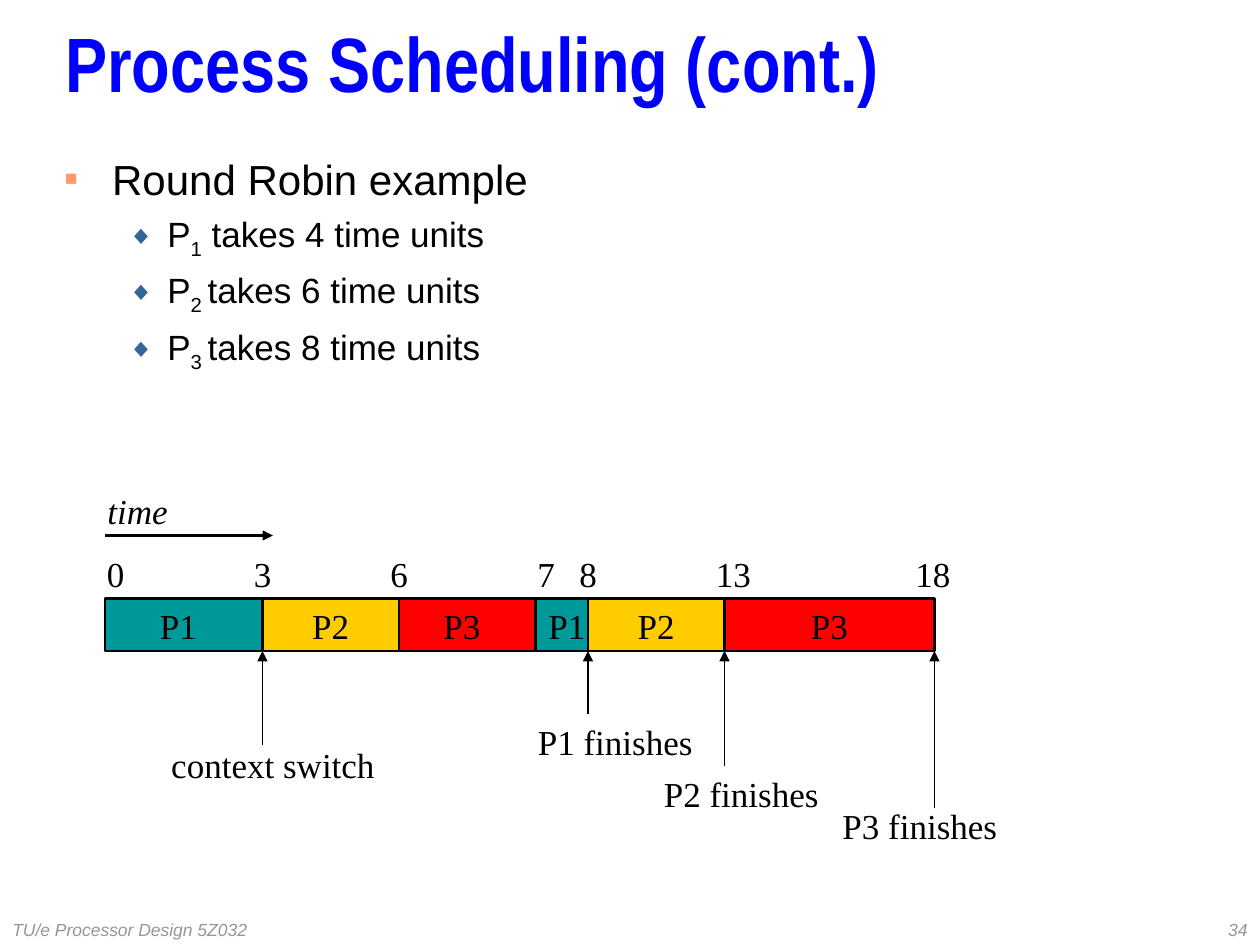
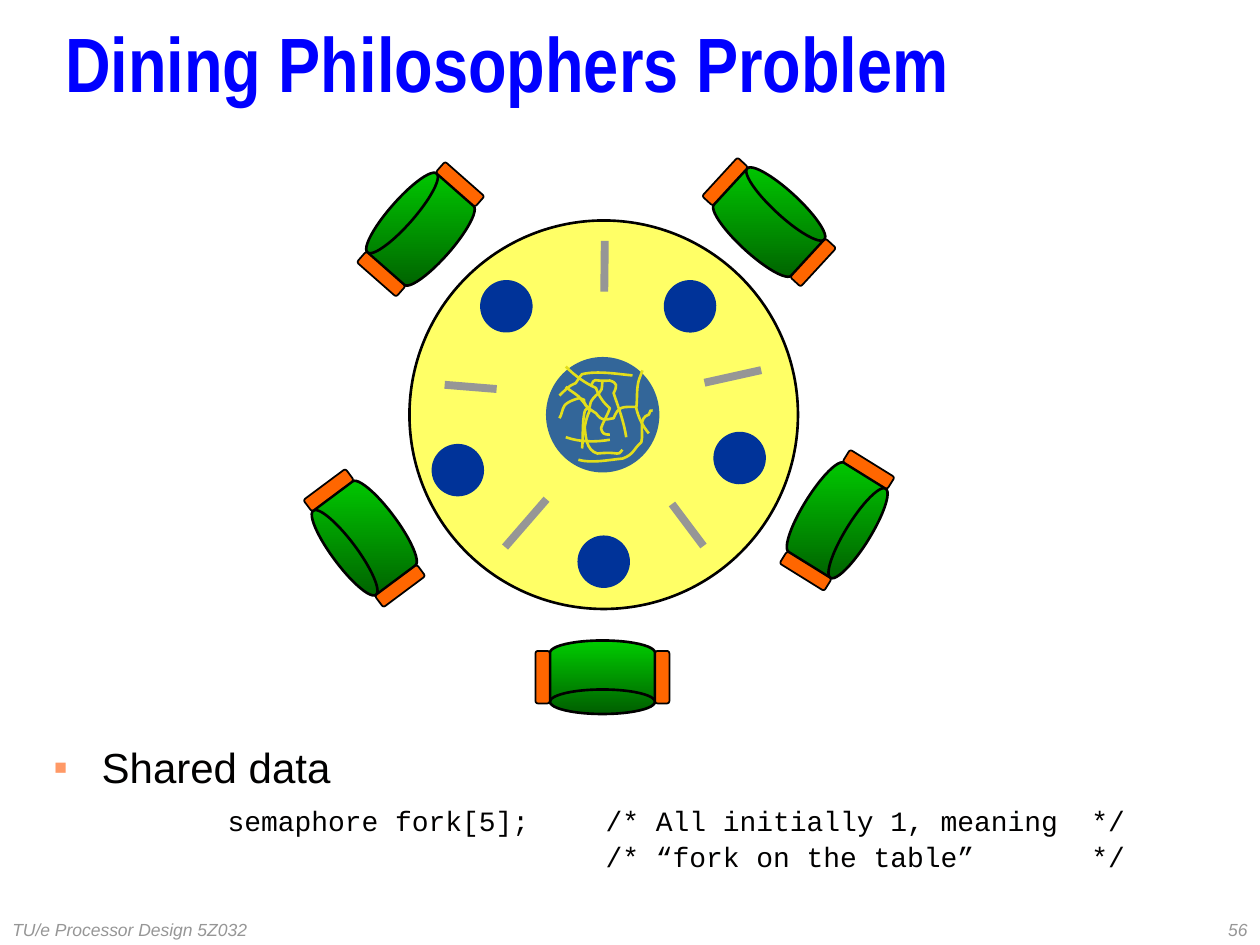
import math
from dataclasses import dataclass
from typing import NamedTuple

from lxml import etree
from pptx import Presentation, util as u
from pptx.dml.color import RGBColor
from pptx.enum import shapes as kinds, text
from pptx.oxml.ns import qn

CELLS_PER_INCH = 12
COLUMNS, ROWS = 120, 90


@dataclass(frozen=True)
class Theme:
    ink: str = "010000"
    title: str = "0000FF"
    footer: str = "969696"
    square_bullet: str = "FF9966"
    diamond_bullet: str = "336699"
    teal: str = "009999"
    amber: str = "FFCC00"
    red: str = "FF0000"
    table: str = "FFFF66"
    plate: str = "003399"
    fork: str = "969696"
    bowl: str = "336699"
    spaghetti: str = "E3DE1B"
    seat_top: str = "00CC00"
    seat_bottom: str = "005E00"
    arm: str = "FF6600"
    heading_font: str = "Arial Narrow"
    body_font: str = "Arial"
    code_font: str = "Courier New"
    diagram_font: str = "Times New Roman"
    title_size: float = 44
    body_size: float = 24
    sub_size: float = 20
    code_size: float = 16
    footer_size: float = 10
    thin: float = 1
    medium: float = 1.5
    thick: float = 4.5


THEME = Theme()


class Box(NamedTuple):
    left: float
    top: float
    width: float
    height: float


class Segment(NamedTuple):
    name: str
    start: float
    width: float
    color: str
    label_shift: float = 0


class Label(NamedTuple):
    words: str
    left: float
    top: float
    width: float


class Seat(NamedTuple):
    """Chair centre, turn in degrees, plate centre and the ends of one fork."""
    chair: tuple
    turn: float
    plate: tuple
    fork: tuple


SEGMENTS = [
    Segment("P1", 10, 15, THEME.teal, -0.5),
    Segment("P2", 25, 13, THEME.amber),
    Segment("P3", 38, 13, THEME.red, -0.5),
    Segment("P1", 51, 5, THEME.teal, 0.5),
    Segment("P2", 56, 13, THEME.amber),
    Segment("P3", 69, 20, THEME.red),
]
BAR_TOP, BAR_HEIGHT = 57, 5
LABEL_HEIGHT = 5.3
TICKS = {"0": 9, "3": 23, "6": 36, "7": 50, "8": 54, "13": 67, "18": 86}
EVENTS = [  # label, column and lower end of its arrow
    (Label("context switch", 15, 70.2, 22), 25, 71),
    (Label("P1 finishes", 50, 68, 17.2), 56, 68),
    (Label("P2 finishes", 62, 73, 17.2), 69, 73),
    (Label("P3 finishes", 79, 76, 17.2), 89, 77),
]

SEATS = [
    Seat((57.38, 64.5), 0, (57.5, 53.5), ((64, 48), (67, 52))),
    Seat((79.73, 49.55), 301.8, (70.45, 43.62), ((67.1, 36.45), (72.5, 35.25))),
    Seat((34.7, 51.25), 53.3, (43.6, 44.78), ((52.05, 47.55), (48.1, 52.1))),
    Seat((40.05, 21.83), 131.3, (48.22, 29.17), ((47.3, 37.05), (42.35, 36.65))),
    Seat((73.25, 21.15), 222.6, (65.72, 29.17), ((57.55, 27.78), (57.6, 22.95))),
]
ARM_DISTANCE = 5.7

# Bézier chains, in thousandths of the slide's width
STRANDS = [
    [(444, 332), (446, 329), (446, 325), (448, 322), (451, 318), (460, 316), (460, 316),
     (467, 319), (461, 315), (465, 322), (468, 325), (470, 326), (473, 328),
     (478, 335), (480, 333), (487, 332), (491, 322), (494, 323), (505, 323)],
    [(462, 356), (463, 346), (462, 336), (464, 327), (464, 325), (467, 324), (468, 323),
     (469, 322), (468, 320), (469, 319), (475, 309), (478, 315), (478, 303)],
    [(497, 347), (495, 334), (491, 324), (487, 312), (490, 306), (490, 304), (484, 302),
     (469, 303), (473, 299), (469, 306)],
    [(449, 307), (453, 311), (459, 313), (462, 318), (464, 320), (468, 326), (468, 326),
     (466, 330), (465, 334), (464, 339), (465, 347), (465, 357), (474, 360),
     (494, 358), (489, 363), (494, 357)],
    [(484, 349), (473, 351), (460, 351), (449, 347)],
    [(515, 344), (510, 338), (507, 332), (505, 324), (506, 317), (505, 309), (507, 302),
     (508, 299), (510, 294), (510, 294)],
    [(449, 291), (456, 298), (464, 304), (473, 308), (475, 314), (479, 320), (484, 324),
     (482, 330), (479, 334), (477, 340), (478, 344), (479, 345), (484, 345)],
    [(459, 365), (470, 368), (483, 365), (494, 364), (503, 361), (503, 356), (509, 351),
     (511, 342), (506, 332), (515, 329), (517, 325), (515, 326), (518, 326)],
    [(502, 298), (491, 297), (474, 294), (462, 297), (461, 298), (460, 299), (459, 301),
     (458, 302), (458, 303), (457, 304), (456, 305), (454, 305), (453, 306),
     (450, 308), (447, 311), (444, 314)],
]


def cells(count: float) -> int:
    return u.Inches(count / CELLS_PER_INCH)


def place(box: Box) -> list:
    return [cells(length) for length in box]


def centered(center: tuple, width: float, height: float) -> Box:
    return Box(center[0] - width / 2, center[1] - height / 2, width, height)


def rgb(color: str) -> RGBColor:
    return RGBColor.from_string(color)


def write(paragraph, words: str, *, size: float, font: str = THEME.body_font,
          color: str = THEME.ink, bold: bool = False, italic: bool = False,
          baseline: int = 0) -> None:
    run = paragraph.add_run()
    run.text = words
    run.font.size, run.font.name = u.Pt(size), font
    run.font.bold, run.font.italic = bold, italic
    run.font.color.rgb = rgb(color)
    if baseline:
        run.font._element.set("baseline", str(baseline * 1000))


def text_frame(slide, box: Box, wrap: bool = True, anchor=text.MSO_ANCHOR.TOP):
    frame = slide.shapes.add_textbox(*place(box)).text_frame
    frame.word_wrap = wrap
    frame.vertical_anchor = anchor
    frame.auto_size = text.MSO_AUTO_SIZE.NONE if wrap else text.MSO_AUTO_SIZE.SHAPE_TO_FIT_TEXT
    return frame


def add_line_of_text(slide, box: Box, words: str, align=text.PP_ALIGN.LEFT,
                     wrap: bool = True, anchor=text.MSO_ANCHOR.TOP, **style):
    paragraph = text_frame(slide, box, wrap, anchor).paragraphs[0]
    paragraph.alignment = align
    write(paragraph, words, **style)
    return paragraph


def add_bullet(paragraph, symbol: str, color: str, percent: int,
               margin: float, hanging: float) -> None:
    properties = paragraph._p.get_or_add_pPr()
    properties.set("marL", str(cells(margin)))
    properties.set("indent", str(-cells(hanging)))
    bullet_color = etree.SubElement(properties, qn("a:buClr"))
    etree.SubElement(bullet_color, qn("a:srgbClr"), val=color)
    etree.SubElement(properties, qn("a:buSzPct"), val=str(percent * 1000))
    etree.SubElement(properties, qn("a:buFont"), typeface=THEME.body_font)
    etree.SubElement(properties, qn("a:buChar"), char=symbol)


def add_topic(paragraph, words: str) -> None:
    add_bullet(paragraph, "■", THEME.square_bullet, 50, 4.5, 4.5)
    write(paragraph, words, size=THEME.body_size)


def add_tab_stops(paragraph, *columns: float) -> None:
    tab_list = etree.SubElement(paragraph._p.get_or_add_pPr(), qn("a:tabLst"))
    for column in columns:
        etree.SubElement(tab_list, qn("a:tab"), pos=str(cells(column)), algn="l")


def add_figure(shapes, kind, box: Box, fill: str, line: float = 0, turn: float = 0):
    shape = shapes.add_shape(kind, *place(box))
    shape.shadow.inherit = False
    shape.rotation = turn % 360
    shape.fill.solid()
    shape.fill.fore_color.rgb = rgb(fill)
    if line:
        shape.line.color.rgb, shape.line.width = rgb(THEME.ink), u.Pt(line)
    else:
        shape.line.fill.background()
    return shape


def add_line(slide, start: tuple, end: tuple, width: float,
             color: str = THEME.ink, arrow: bool = False) -> None:
    line = slide.shapes.add_connector(
        kinds.MSO_CONNECTOR.STRAIGHT, *[cells(value) for value in (*start, *end)])
    line.line.color.rgb, line.line.width = rgb(color), u.Pt(width)
    if arrow:
        etree.SubElement(line.line._get_or_add_ln(), qn("a:tailEnd"), type="triangle")
    etree.SubElement(line._element.spPr, qn("a:effectLst"))


def start_slide(presentation, title: str, number: int):
    slide = presentation.slides.add_slide(presentation.slide_layouts[6])
    middle = text.MSO_ANCHOR.MIDDLE
    heading = add_line_of_text(slide, Box(5.03, 2, 110, 10), title, anchor=middle,
                               size=THEME.title_size, font=THEME.heading_font,
                               color=THEME.title, bold=True)
    heading.line_spacing = 0.7
    width, height = 25, 3
    for words, left, align in (
            ("TU/e Processor Design 5Z032", 0, text.PP_ALIGN.LEFT),
            (str(number), COLUMNS - width, text.PP_ALIGN.RIGHT)):
        add_line_of_text(slide, Box(left, ROWS - height, width, height), words, align,
                         anchor=middle, size=THEME.footer_size, color=THEME.footer, italic=True)
    return slide


def add_label(slide, label: Label, align=text.PP_ALIGN.LEFT, italic: bool = False) -> None:
    box = Box(label.left, label.top, label.width, LABEL_HEIGHT)
    add_line_of_text(slide, box, label.words, align, wrap=False, size=THEME.sub_size,
                     font=THEME.diagram_font, italic=italic)


def build_scheduling(presentation) -> None:
    slide = start_slide(presentation, "Process Scheduling (cont.)", 34)
    frame = text_frame(slide, Box(5, 14, 110, 22))
    add_topic(frame.paragraphs[0], "Round Robin example")
    for index, rest in (("1", " takes 4 time units"), ("2 ", "takes 6 time units"),
                        ("3 ", "takes 8 time units")):
        paragraph = frame.add_paragraph()
        paragraph.level = 1
        add_bullet(paragraph, "◆", THEME.diamond_bullet, 75, 9.75, 3.75)
        paragraph.space_before = u.Pt(5)
        write(paragraph, "P", size=THEME.sub_size)
        write(paragraph, index, size=THEME.sub_size, baseline=-25)
        write(paragraph, rest, size=THEME.sub_size)

    center = text.PP_ALIGN.CENTER
    for segment in SEGMENTS:
        add_figure(slide.shapes, kinds.MSO_SHAPE.RECTANGLE,
                   Box(segment.start, BAR_TOP, segment.width, BAR_HEIGHT),
                   segment.color, THEME.medium)
    for segment in SEGMENTS:
        width = 5.9
        left = segment.start + (segment.width - width) / 2 + segment.label_shift
        add_label(slide, Label(segment.name, left, BAR_TOP, width), center)
    add_label(slide, Label("time", 9, 46, 8.2), center, italic=True)
    add_line(slide, (10, 51), (26, 51), THEME.medium, arrow=True)
    for moment, left in TICKS.items():
        add_label(slide, Label(moment, left, 52, 2.4 + 1.7 * len(moment)))
    for label, column, foot in EVENTS:
        add_label(slide, label, center)
        add_line(slide, (column, foot), (column, BAR_TOP + BAR_HEIGHT), THEME.thin, arrow=True)


def add_chair(slide, center: tuple, turn: float) -> None:
    group = slide.shapes.add_group_shape()
    seat = add_figure(group.shapes, kinds.MSO_SHAPE.FLOWCHART_MAGNETIC_DISK,
                      centered(center, 10, 7), THEME.seat_top, THEME.medium, turn + 180)
    seat.fill.gradient()
    seat.fill.gradient_angle = 270
    for stop, color, position in zip(seat.fill.gradient_stops,
                                     (THEME.seat_top, THEME.seat_bottom), (0, 1)):
        stop.color.rgb, stop.position = rgb(color), position
    seat._element.spPr.find(qn("a:gradFill")).set("rotWithShape", "0")
    angle = math.radians(turn)
    for side in (-ARM_DISTANCE, ARM_DISTANCE):
        middle = (center[0] + side * math.cos(angle), center[1] + side * math.sin(angle))
        add_figure(group.shapes, kinds.MSO_SHAPE.FLOWCHART_ALTERNATE_PROCESS,
                   centered(middle, 1.35, 5), THEME.arm, THEME.thin, turn)


def add_curve(shapes, chain: list, scale: float):
    """Draw a chain of cubic Bézier curves that share their end points."""
    builder = shapes.build_freeform(*chain[0], scale=scale)
    builder.add_line_segments(chain[1:], close=False)
    curve = builder.convert_to_shape()
    segments = list(curve._element.iter(qn("a:lnTo")))
    for first in range(0, len(segments), 3):
        trio = segments[first:first + 3]
        bend = etree.SubElement(trio[0].getparent(), qn("a:cubicBezTo"))
        for segment in trio:
            bend.append(segment[0])
            segment.getparent().remove(segment)
    return curve


def add_bowl(slide, thousandth: float) -> None:
    group = slide.shapes.add_group_shape()
    add_figure(group.shapes, kinds.MSO_SHAPE.OVAL, Box(52, 34, 10.8, 11), THEME.bowl)
    for chain in STRANDS:
        strand = add_curve(group.shapes, chain, thousandth)
        strand.shadow.inherit = False
        strand.fill.background()
        strand.line.color.rgb, strand.line.width = rgb(THEME.spaghetti), u.Pt(THEME.medium)


def build_philosophers(presentation) -> None:
    slide = start_slide(presentation, "Dining Philosophers Problem", 56)
    frame = text_frame(slide, Box(4, 71, 110, 13))
    add_topic(frame.paragraphs[0], "Shared data")
    frame.paragraphs[0].line_spacing = 0.8
    for lead, code in (("\t", "semaphore fork[5];\t/* All initially 1, meaning  */"),
                       ("", "\t\t/* “fork on the table”       */")):
        paragraph = frame.add_paragraph()
        add_tab_stops(paragraph, 16.5, 52.5)
        paragraph.line_spacing, paragraph.space_before = 0.8, u.Pt(4)
        if lead:
            write(paragraph, lead, size=THEME.body_size)
        write(paragraph, code, size=THEME.code_size, font=THEME.code_font)

    add_figure(slide.shapes, kinds.MSO_SHAPE.OVAL, Box(39, 21, 37, 37), THEME.table, THEME.medium)
    for seat in SEATS:
        add_chair(slide, seat.chair, seat.turn)
        add_figure(slide.shapes, kinds.MSO_SHAPE.OVAL, centered(seat.plate, 5, 5),
                   THEME.plate, turn=seat.turn)
        add_line(slide, *seat.fork, THEME.thick, THEME.fork)
    add_bowl(slide, presentation.slide_width / 1000)


def main() -> None:
    presentation = Presentation()
    presentation.slide_width, presentation.slide_height = cells(COLUMNS), cells(ROWS)
    build_scheduling(presentation)
    build_philosophers(presentation)
    presentation.save("out.pptx")


if __name__ == "__main__":
    main()
